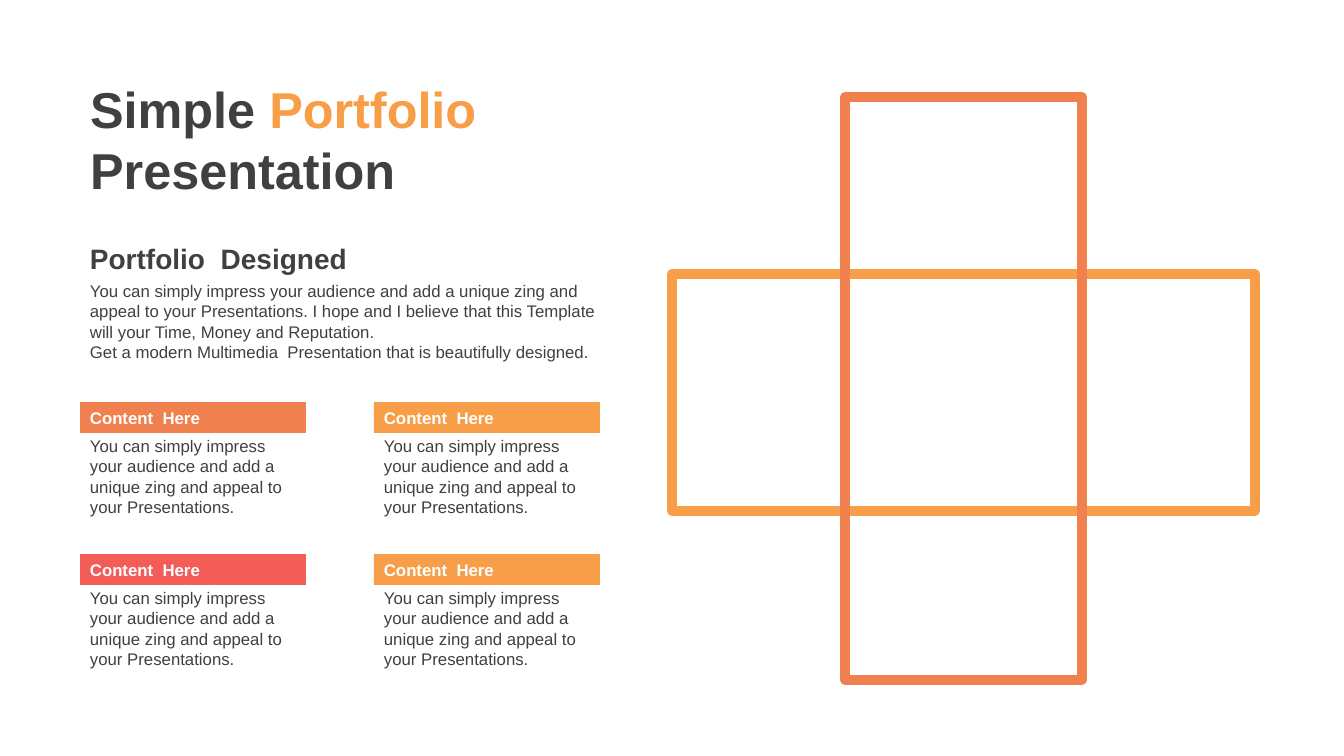
"""Build the portfolio slide: title, introduction, four content cards and a cross of two frames."""
from pptx import Presentation
from pptx.dml.color import RGBColor
from pptx.enum.shapes import MSO_SHAPE
from pptx.enum.text import MSO_ANCHOR, PP_ALIGN
from pptx.util import Emu, Pt

RECT = MSO_SHAPE.RECTANGLE
TOP, MIDDLE = MSO_ANCHOR.TOP, MSO_ANCHOR.MIDDLE
LEFT = PP_ALIGN.LEFT

DARK, WHITE = "404040", "FFFFFF"
ORANGE, CORAL, RED = "F89E48", "F0804E", "F45C58"

TITLE = [[("Simple", DARK), (" Portfolio", ORANGE)], [("Presentation", DARK)]]
SUBTITLE = "Portfolio  Designed"
INTRO = [
    "You can simply impress your audience and add a unique zing and appeal to your "
    "Presentations. I hope and I believe that this Template will your Time, Money and Reputation.",
    "Get a modern Multimedia  Presentation that is beautifully designed.",
]
CARD_HEAD = "Content  Here"
CARD_BODY = ("You can simply impress your audience and add a unique zing "
             "and appeal to your Presentations.")
CARD_COLORS = [CORAL, ORANGE, RED, ORANGE]
FRAMES = [(672, 274, 583, 237, ORANGE), (845, 97, 237, 583, CORAL)]

MARGIN = 80
CARD_TOP, CARD_W, CARD_DX, CARD_DY = 402, 226, 294, 152
HEAD_H, BODY_DY, BODY_H = 31, 29, 92


def px(*values):
    return [Emu(round(v * 914400 / 100.8)) for v in values]


def rgb(color):
    return RGBColor.from_string(color)


def write(sp, paragraphs, size=12, color=DARK, bold=False, anchor=TOP, spacing=1.0):
    tf = sp.text_frame
    tf.word_wrap = True
    tf.vertical_anchor = anchor
    for i, runs in enumerate(paragraphs):
        p = tf.add_paragraph() if i else tf.paragraphs[0]
        p.alignment = LEFT
        p.line_spacing = spacing
        for text, run_color in [(runs, color)] if isinstance(runs, str) else runs:
            r = p.add_run()
            r.text = text
            r.font.name = "Arial"
            r.font.size = Pt(size)
            r.font.bold = bold
            r.font.color.rgb = rgb(run_color)


def add_text(slide, box, paragraphs, **fmt):
    write(slide.shapes.add_textbox(*px(*box)), paragraphs, **fmt)


def add_rect(slide, box, fill=None, line=None):
    sp = slide.shapes.add_shape(RECT, *px(*box))
    sp.shadow.inherit = False
    if fill:
        sp.fill.solid()
        sp.fill.fore_color.rgb = rgb(fill)
    else:
        sp.fill.background()
    if line:
        sp.line.color.rgb = rgb(line)
        sp.line.width = Pt(7)
    else:
        sp.line.fill.background()
    return sp


def main():
    prs = Presentation()
    prs.slide_width, prs.slide_height = px(1344, 756)
    slide = prs.slides.add_slide(prs.slide_layouts[5])

    for *box, color in FRAMES:
        add_rect(slide, box, line=color)

    title = slide.shapes.title
    title.left, title.top, title.width, title.height = px(MARGIN, 73, 464, 132)
    write(title, TITLE, size=36, bold=True, anchor=MIDDLE)

    add_text(slide, (MARGIN, 237, 550, 39), [SUBTITLE],
             size=20, bold=True, anchor=MIDDLE, spacing=1.1)
    add_text(slide, (MARGIN, 276, 550, 92), INTRO)

    for i, color in enumerate(CARD_COLORS):
        row, col = divmod(i, 2)
        x, y = MARGIN + col * CARD_DX, CARD_TOP + row * CARD_DY
        head = add_rect(slide, (x, y, CARD_W, HEAD_H), fill=color)
        write(head, [CARD_HEAD], color=WHITE, bold=True, anchor=MIDDLE)
        add_text(slide, (x, y + BODY_DY, CARD_W, BODY_H), [CARD_BODY])

    prs.save("out.pptx")


if __name__ == "__main__":
    main()
